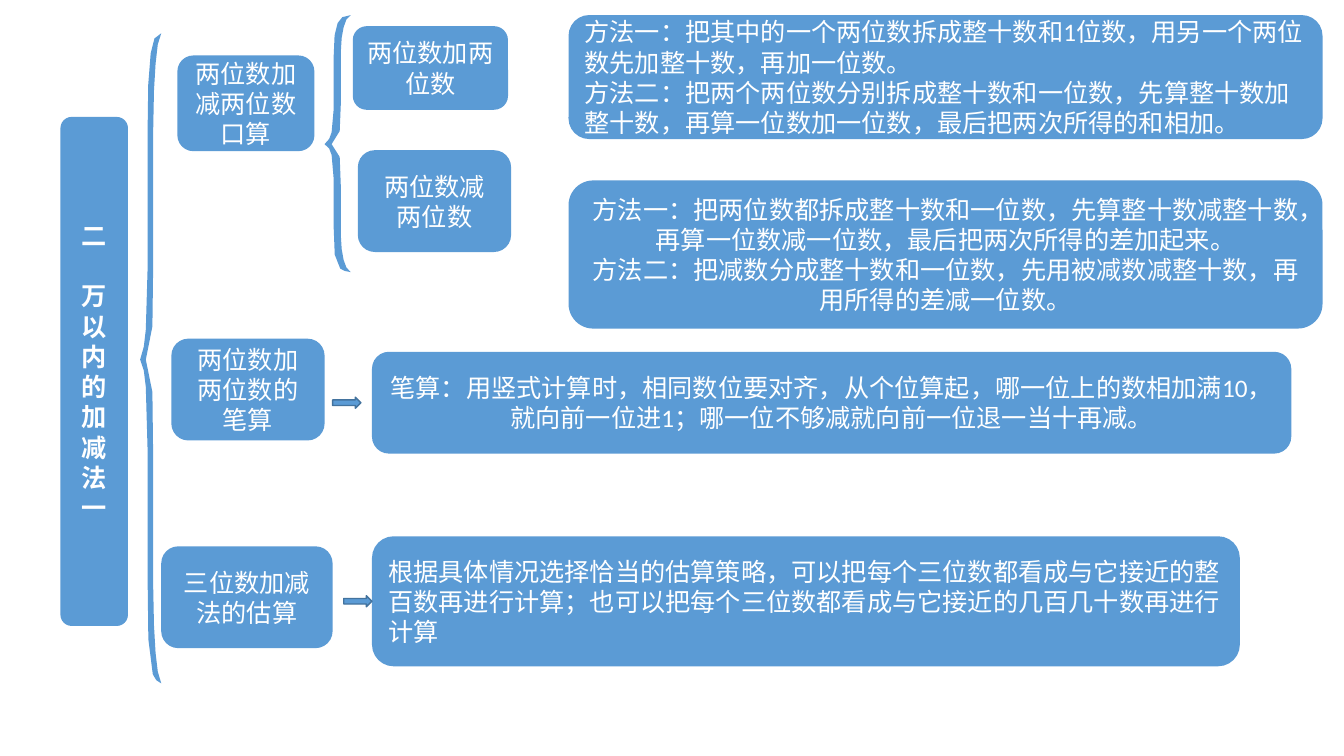
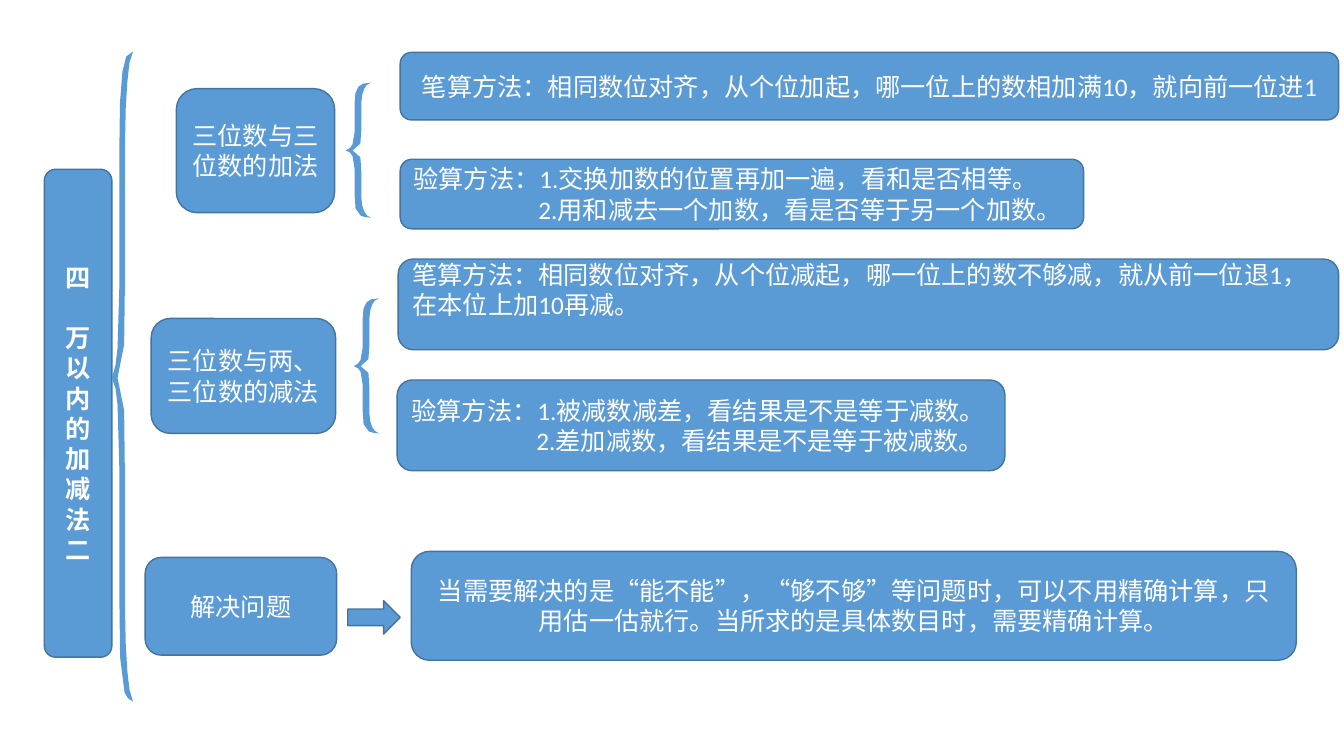
from dataclasses import dataclass
from typing import NamedTuple

from pptx import Presentation
from pptx.dml.color import RGBColor
from pptx.enum.shapes import MSO_SHAPE
from pptx.enum.text import MSO_ANCHOR, PP_ALIGN
from pptx.util import Emu, Inches, Pt

ROUNDED = MSO_SHAPE.ROUNDED_RECTANGLE
ALTERNATE = MSO_SHAPE.FLOWCHART_ALTERNATE_PROCESS
ARROW = MSO_SHAPE.RIGHT_ARROW
MIDDLE = MSO_ANCHOR.MIDDLE
LEFT, CENTER = PP_ALIGN.LEFT, PP_ALIGN.CENTER

# Grid: square cells, ten to the inch
COLUMNS, ROWS = 133.33, 75
CELL = Inches(0.1)


@dataclass(frozen=True)
class Theme:
    fill: RGBColor = RGBColor(0x5B, 0x9B, 0xD5)
    outline: RGBColor = RGBColor(0x43, 0x73, 0x9E)
    text: RGBColor = RGBColor(0xFF, 0xFF, 0xFF)
    font: str = "Calibri"
    size: Pt = Pt(18)
    line: Pt = Pt(1)
    unit_gap: Pt = Pt(21.6)


THEME = Theme()


class Area(NamedTuple):
    """Left, top, width and height in grid cells."""
    column: float
    row: float
    columns: float
    rows: float

    def emu(self) -> list[Emu]:
        return [Emu(round(length * CELL)) for length in self]


@dataclass(frozen=True)
class Topic:
    area: Area
    paragraphs: tuple[str, ...]
    align: PP_ALIGN = CENTER
    later_indent: float = 0
    bottom_inset: float = 0.5


@dataclass(frozen=True)
class Unit:
    """One slide: a unit title, its topics, and the signs that join them."""
    title: Topic
    topics: tuple[Topic, ...]
    braces: tuple[Area, ...]
    arrows: tuple[Area, ...]
    box_kind: MSO_SHAPE
    outlined: bool


# Brace outline in thousandths of its area
BRACE_OUTLINE = (
    (620, 146), (656, 88), (730, 47), (835, 17), (1000, 0), (679, 8),
    (500, 31), (384, 79), (350, 160), (350, 366), (270, 456), (176, 482),
    (0, 502), (176, 519), (270, 544), (350, 637), (350, 826), (390, 932),
    (600, 986), (763, 995), (1000, 1000), (835, 982), (730, 953),
    (656, 911), (620, 854), (620, 662), (580, 552), (270, 502),
    (580, 451), (620, 349),
)

UNITS = (
    Unit(
        title=Topic(Area(6, 11.6, 6.7, 50.5), ("二", "万以内的加减法一")),
        topics=(
            Topic(Area(17.6, 5.5, 13.6, 9.5), ("两位数加减两位数口算",)),
            Topic(Area(35, 2.6, 15.4, 8.3), ("两位数加两位数",)),
            Topic(Area(35.5, 14.9, 15.2, 10.1), ("两位数减两位数",)),
            Topic(Area(56.4, 1.5, 74.8, 12.3), (
                "方法一：把其中的一个两位数拆成整十数和1位数，用另一个两位数先加整十数，再加一位数。",
                "方法二：把两个两位数分别拆成整十数和一位数，先算整十数加整十数，"
                "再算一位数加一位数，最后把两次所得的和相加。"), LEFT),
            Topic(Area(56.4, 17.9, 74.8, 14.7), (
                "方法一：把两位数都拆成整十数和一位数，先算整十数减整十数，"
                "再算一位数减一位数，最后把两次所得的差加起来。",
                "方法二：把减数分成整十数和一位数，先用被减数减整十数，再用所得的差减一位数。")),
            Topic(Area(17, 33.6, 15.2, 10.1), ("两位数加两位数的笔算",)),
            Topic(Area(36.9, 34.9, 91.2, 10.1), (
                "笔算：用竖式计算时，相同数位要对齐，从个位算起，哪一位上的数相加满10，"
                "就向前一位进1；哪一位不够减就向前一位退一当十再减。",)),
            Topic(Area(16, 54.2, 17, 10.1), ("三位数加减法的估算",)),
            Topic(Area(36.9, 53.2, 86.1, 12.9), (
                "根据具体情况选择恰当的估算策略，可以把每个三位数都看成与它接近的整百数再进行计算；"
                "也可以把每个三位数都看成与它接近的几百几十数再进行计算",), LEFT),
        ),
        braces=(Area(13.9, 3.3, 2.1, 64.5), Area(32.2, 1.5, 2.6, 25.5)),
        arrows=(Area(34.1, 59.1, 2.8, 1.1), Area(33, 39.4, 2.8, 1.1)),
        box_kind=ROUNDED,
        outlined=False,
    ),
    Unit(
        title=Topic(Area(4.4, 16.8, 6.7, 48.4), ("四", "万以内的加减法二")),
        topics=(
            Topic(Area(17.5, 8.8, 15.7, 12.3), ("三位数与三位数的加法",)),
            Topic(Area(39.7, 5.2, 93.1, 6.7), (
                "笔算方法：相同数位对齐，从个位加起，哪一位上的数相加满10，就向前一位进1",)),
            Topic(Area(39.7, 15.8, 67.8, 6.9), (
                "验算方法：1.交换加数的位置再加一遍，看和是否相等。",
                "2.用和减去一个加数，看是否等于另一个加数。"), LEFT, later_indent=12.4),
            Topic(Area(15, 31.6, 18.3, 11.4), ("三位数与两、三位数的减法",)),
            Topic(Area(39.5, 25.7, 93.3, 9), (
                "笔算方法：相同数位对齐，从个位减起，哪一位上的数不够减，"
                "就从前一位退1，在本位上加10再减。",), LEFT, bottom_inset=3.4),
            Topic(Area(39.4, 37.7, 60.3, 9), (
                "验算方法：1.被减数减差，看结果是不是等于减数。",
                "2.差加减数，看结果是不是等于被减数。"), LEFT, later_indent=12.4),
            Topic(Area(14.4, 55.3, 19, 9.7), ("解决问题",)),
            Topic(Area(40.8, 54.7, 87.8, 10.8), (
                "当需要解决的是“能不能”，“够不够”等问题时，可以不用精确计算，"
                "只用估一估就行。当所求的是具体数目时，需要精确计算。",)),
        ),
        braces=(Area(11.1, 5.1, 2.1, 64.5), Area(34.3, 8.2, 2.5, 13.4),
                Area(35.1, 29.6, 2.5, 13.4)),
        arrows=(Area(34.5, 59.6, 5.2, 3.3),),
        box_kind=ALTERNATE,
        outlined=True,
    ),
)


def paint(shape, outlined: bool) -> None:
    shape.shadow.inherit = False
    shape.fill.solid()
    shape.fill.fore_color.rgb = THEME.fill
    if outlined:
        shape.line.color.rgb = THEME.outline
        shape.line.width = THEME.line
    else:
        shape.line.fill.background()


def draw_topic(slide, topic: Topic, unit: Unit) -> None:
    box = slide.shapes.add_shape(unit.box_kind, *topic.area.emu())
    paint(box, unit.outlined)
    is_title = topic is unit.title
    frame = box.text_frame
    frame.word_wrap = True
    frame.vertical_anchor = MIDDLE
    frame.margin_bottom = round(topic.bottom_inset * CELL)
    for number, wording in enumerate(topic.paragraphs):
        paragraph = frame.add_paragraph() if number else frame.paragraphs[0]
        paragraph.text = wording
        paragraph.alignment = topic.align
        paragraph.font.name = THEME.font
        paragraph.font.size = THEME.size
        paragraph.font.color.rgb = THEME.text
        paragraph.font.bold = is_title
        if is_title and number == 0:
            paragraph.space_after = THEME.unit_gap
        if number and topic.later_indent:
            indent = round(topic.later_indent * CELL)
            paragraph._p.get_or_add_pPr().set("marL", str(indent))


def draw_brace(slide, area: Area) -> None:
    left, top, width, height = area.emu()
    outline = [(round(left + x * width / 1000), round(top + y * height / 1000))
               for x, y in BRACE_OUTLINE]
    builder = slide.shapes.build_freeform(*outline[0])
    builder.add_line_segments(outline[1:], close=True)
    paint(builder.convert_to_shape(), outlined=False)


def draw_arrow(slide, area: Area) -> None:
    paint(slide.shapes.add_shape(ARROW, *area.emu()), outlined=True)


def draw_unit(deck, unit: Unit) -> None:
    slide = deck.slides.add_slide(deck.slide_layouts[6])
    for topic in (unit.title, *unit.topics):
        draw_topic(slide, topic, unit)
    for area in unit.braces:
        draw_brace(slide, area)
    for area in unit.arrows:
        draw_arrow(slide, area)


# Build the deck
deck = Presentation()
deck.slide_width = Emu(round(COLUMNS * CELL))
deck.slide_height = Emu(ROWS * CELL)
for unit in UNITS:
    draw_unit(deck, unit)
deck.save("out.pptx")
